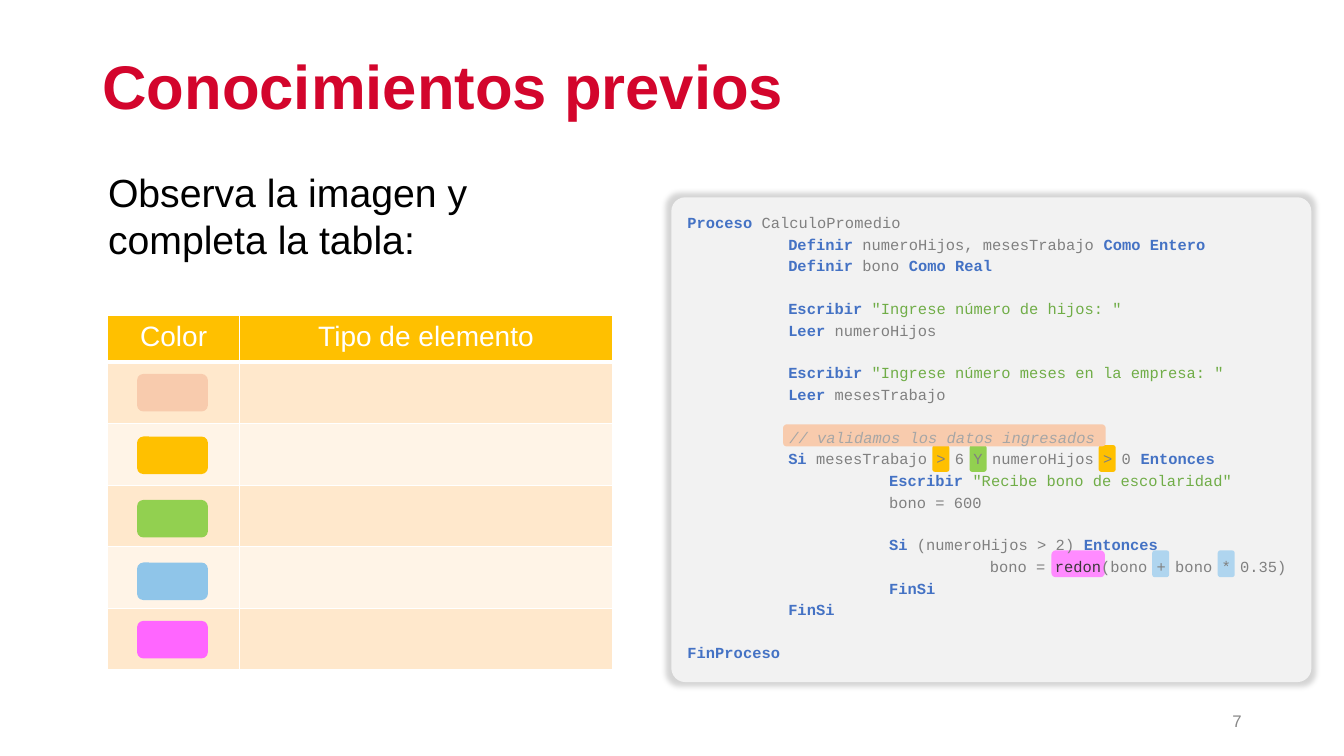
from dataclasses import dataclass

from lxml.etree import SubElement
from pptx import Presentation
from pptx.dml.color import RGBColor
from pptx.enum.shapes import MSO_SHAPE as Shape
from pptx.enum.text import MSO_ANCHOR as Anchor, MSO_AUTO_SIZE as AutoSize, PP_ALIGN as Align
from pptx.oxml.ns import qn
from pptx.util import Pt


@dataclass(frozen=True)
class Theme:
    sans: str = "Arial"
    mono: str = "Courier New"
    title_size: float = 44
    body_size: float = 28
    header_size: float = 20
    number_size: float = 12
    code_size: float = 11
    red: str = "D3052C"
    black: str = "000000"
    white: str = "FFFFFF"
    number_grey: str = "888888"
    panel: str = "F2F2F2"
    amber: str = "FFC000"
    green: str = "92D050"
    peach: str = "F8CBAD"
    blue: str = "8FC5E9"
    pale_blue: str = "AFD5EF"
    pink: str = "FF66FF"
    pale_pink: str = "FF8BFF"
    band_dark: str = "FFE8CC"
    band_light: str = "FFF4E7"


theme = Theme()

CODE_STYLES = {
    "key": {"color": "4472C4", "bold": True},
    "plain": {"color": "808080"},
    "string": {"color": "70AD47"},
    "comment": {"color": "A6A6A6", "italic": True},
    "call": {"color": "3B3838"},
}

TITLE = "Conocimientos previos"
PROMPT = "Observa la imagen y completa la tabla:"
PAGE_NUMBER = "7"
TABLE_HEADERS = ["Color", "Tipo de elemento"]

# Swatch colour and top
SWATCHES = [
    (theme.peach, 267.1),
    (theme.amber, 311.8),
    (theme.green, 357.1),
    (theme.blue, 401.8),
    (theme.pink, 443.5),
]

# Each line holds (style, text) pairs; an empty list leaves a line free
CODE = [
    [("key", "Proceso "), ("plain", "CalculoPromedio")],
    [("key", "\tDefinir "), ("plain", "numeroHijos, mesesTrabajo "), ("key", "Como Entero")],
    [("key", "\tDefinir"), ("plain", " bono "), ("key", "Como Real")],
    [],
    [("key", "\tEscribir "), ("string", '"Ingrese número de hijos: "')],
    [("key", "\tLeer "), ("plain", "numeroHijos")],
    [],
    [("key", "\tEscribir "), ("string", '"Ingrese número meses en la empresa: "')],
    [("key", "\tLeer "), ("plain", "mesesTrabajo")],
    [],
    [("comment", "           // validamos los datos ingresados")],
    [("key", "\tSi "), ("plain", "mesesTrabajo > 6 Y numeroHijos > 0 "), ("key", "Entonces")],
    [("key", "\t\tEscribir "), ("string", '"Recibe bono de escolaridad"')],
    [("plain", "\t\tbono = 600")],
    [],
    [("key", "\t\tSi"), ("plain", " (numeroHijos > 2) "), ("key", "Entonces")],
    [("plain", "\t\t\tbono = "), ("call", "redon"), ("plain", "(bono + bono * 0.35)")],
    [("key", "\t\tFinSi")],
    [("key", "\tFinSi")],
    [],
    [("key", "FinProceso")],
]
LINE_GAP = 2.2
LINE_PITCH = 15.2
TAB_STOPS = [72, 144, 216]

# Colour, left, top, width, height
HIGHLIGHTS = [
    (theme.amber, 666, 317.9, 12.2, 19.2),
    (theme.amber, 784.8, 317.9, 12.2, 19.2),
    (theme.green, 692.6, 317.9, 12.2, 19.2),
    (theme.pale_blue, 823, 393.1, 12.2, 19.2),
    (theme.pale_blue, 869.8, 393.1, 12.2, 19.2),
    (theme.pale_pink, 751, 393.1, 38.2, 19.2),
    (theme.peach, 559.4, 303.1, 230.4, 15.8),
]


def write_text(paragraph, text, size, color, font=theme.sans, bold=False, italic=False):
    run = paragraph.add_run()
    run.text = text
    run.font.name = font
    run.font.size = Pt(size)
    run.font.bold = bold
    run.font.italic = italic
    run.font.color.rgb = RGBColor.from_string(color)


def place(shape, left, top, width, height):
    shape.left, shape.top, shape.width, shape.height = map(Pt, (left, top, width, height))


def add_block(shapes, color, left, top, width, height, rounding=None):
    """Add a rounded rectangle without outline; no colour means no fill."""
    block = shapes.add_shape(Shape.ROUNDED_RECTANGLE, *map(Pt, (left, top, width, height)))
    block.shadow.inherit = False
    block.line.fill.background()
    if color:
        block.fill.solid()
        block.fill.fore_color.rgb = RGBColor.from_string(color)
    else:
        block.fill.background()
    if rounding is not None:
        block.adjustments[0] = rounding
    return block


def add_soft_shadow(shape):
    effects = shape._element.spPr.find(qn("a:effectLst"))
    shadow = SubElement(effects, qn("a:outerShdw"), blurRad="50800", sx="101500",
                        sy="101500", algn="ctr", rotWithShape="0")
    black = SubElement(shadow, qn("a:prstClr"), val="black")
    SubElement(black, qn("a:alpha"), val="16000")


def add_tab_stops(paragraph):
    tabs = SubElement(paragraph._p.get_or_add_pPr(), qn("a:tabLst"))
    for position in TAB_STOPS:
        SubElement(tabs, qn("a:tab"), pos=str(Pt(position)), algn="l")


def underline_cell(cell, width):
    """Put a white line under a cell; borders come before the fill in the XML."""
    properties = cell._tc.get_or_add_tcPr()
    border = SubElement(properties, qn("a:lnB"), w=str(Pt(width)))
    properties.insert(0, border)
    fill = SubElement(border, qn("a:solidFill"))
    SubElement(fill, qn("a:srgbClr"), val=theme.white)


def fill_placeholders(slide):
    title = slide.shapes.title
    place(title, 66, 33, 828, 62)
    title.text_frame.auto_size = AutoSize.NONE
    title.text_frame.vertical_anchor = Anchor.MIDDLE
    paragraph = title.text_frame.paragraphs[0]
    paragraph.alignment = Align.LEFT
    paragraph.line_spacing = 0.9
    write_text(paragraph, TITLE, theme.title_size, theme.red, bold=True)

    body = slide.placeholders[1]
    place(body, 66, 116.6, 387.4, 373)
    body.text_frame.auto_size = AutoSize.NONE
    paragraph = body.text_frame.paragraphs[0]
    properties = paragraph._p.get_or_add_pPr()
    properties.set("marL", str(Pt(4)))
    properties.set("indent", "0")
    SubElement(properties, qn("a:buNone"))
    paragraph.space_before = Pt(0)
    paragraph.line_spacing = 1.0
    write_text(paragraph, PROMPT, theme.body_size, theme.black)


def add_page_number(slide):
    box = slide.shapes.add_textbox(*map(Pt, (678, 500.5, 216, 28.8)))
    box.text_frame.word_wrap = True
    box.text_frame.vertical_anchor = Anchor.MIDDLE
    paragraph = box.text_frame.paragraphs[0]
    paragraph.alignment = Align.RIGHT
    write_text(paragraph, PAGE_NUMBER, theme.number_size, theme.number_grey)


def add_code_panel(slide):
    group = slide.shapes.add_group_shape().shapes
    add_soft_shadow(add_block(group, theme.panel, 479.5, 140.9, 457.2, 346.3, rounding=0.029))
    for highlight in HIGHLIGHTS:
        add_block(group, *highlight)

    frame = add_block(group, None, 480.2, 145.4, 463.7, 334.1, rounding=0.039).text_frame
    frame.word_wrap = True
    frame.vertical_anchor = Anchor.MIDDLE
    free_lines = 0
    for index, line in enumerate(CODE):
        if not line:
            free_lines += 1
            continue
        paragraph = frame.add_paragraph() if index else frame.paragraphs[0]
        add_tab_stops(paragraph)
        paragraph.alignment = Align.LEFT
        paragraph.space_before = Pt(free_lines * LINE_PITCH)
        paragraph.space_after = Pt(LINE_GAP)
        free_lines = 0
        for style, text in line:
            write_text(paragraph, text, theme.code_size, font=theme.mono, **CODE_STYLES[style])


def add_answer_table(slide):
    row_heights = [33] + [44] * len(SWATCHES)
    column_widths = [94.3, 266.4]
    table = slide.shapes.add_table(len(row_heights), len(column_widths), Pt(76.9), Pt(225.6),
                                   Pt(sum(column_widths)), Pt(sum(row_heights))).table
    for column, width in zip(table.columns, column_widths):
        column.width = Pt(width)
    for index, (row, height) in enumerate(zip(table.rows, row_heights)):
        row.height = Pt(height)
        band = theme.band_dark if index % 2 else theme.band_light
        for cell in row.cells:
            cell.fill.solid()
            cell.fill.fore_color.rgb = RGBColor.from_string(band if index else theme.amber)
    for cell, header in zip(table.rows[0].cells, TABLE_HEADERS):
        underline_cell(cell, 3)
        paragraph = cell.text_frame.paragraphs[0]
        paragraph.alignment = Align.CENTER
        write_text(paragraph, header, theme.header_size, theme.white)
    for color, top in SWATCHES:
        add_block(slide.shapes, color, 97.9, top, 50.6, 26.8)


def main():
    presentation = Presentation()
    presentation.slide_width, presentation.slide_height = Pt(960), Pt(540)
    slide = presentation.slides.add_slide(presentation.slide_layouts[1])
    fill_placeholders(slide)
    add_page_number(slide)
    add_code_panel(slide)
    add_answer_table(slide)
    presentation.save("out.pptx")


if __name__ == "__main__":
    main()
